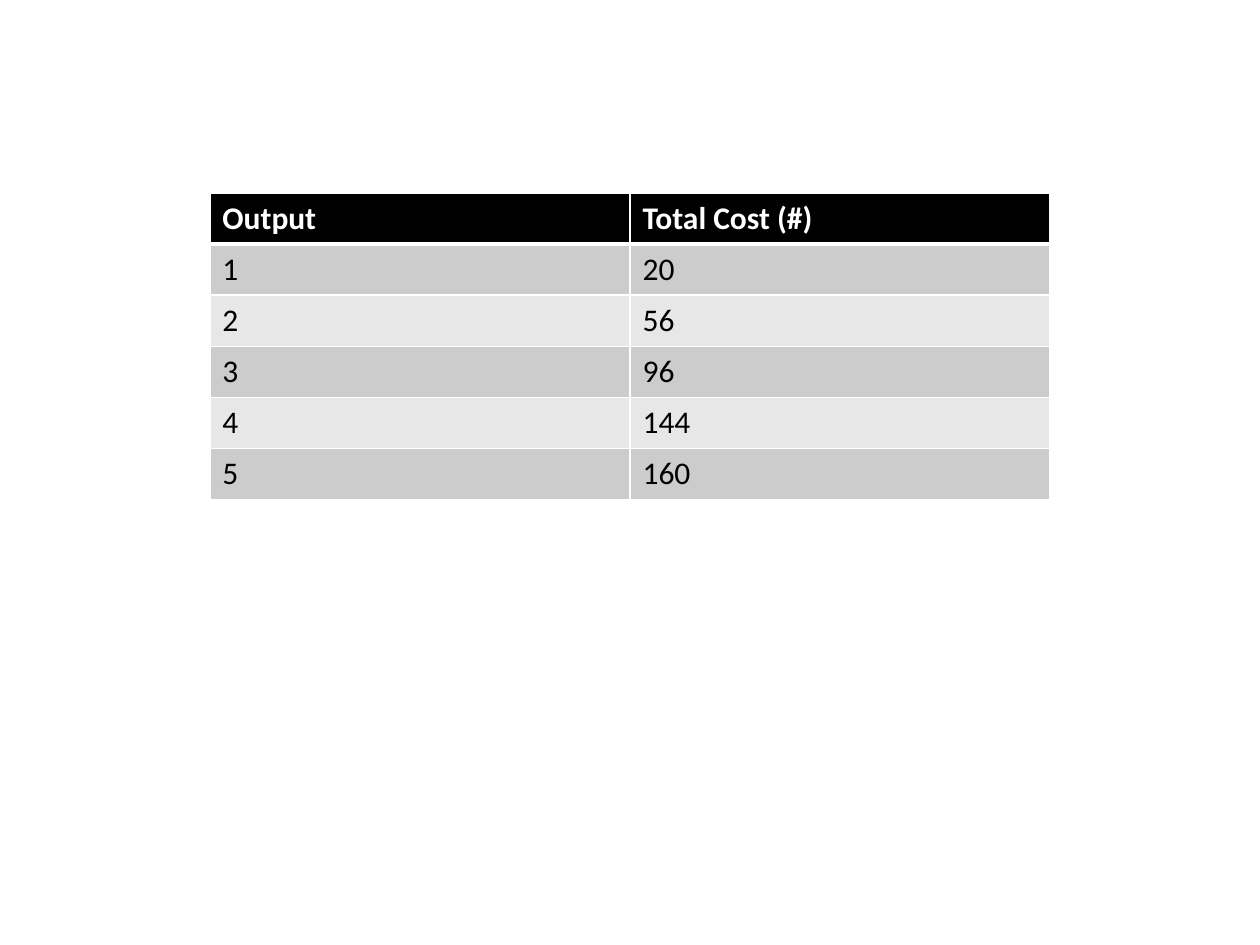
from lxml.etree import SubElement
from pptx import Presentation
from pptx.dml.color import RGBColor
from pptx.oxml.ns import qn
from pptx.util import Cm, Pt

HEADINGS = ("Output", "Total Cost (#)")
COSTS = [(1, 20), (2, 56), (3, 96), (4, 144), (5, 160)]
BLACK, WHITE = "000000", "FFFFFF"
BANDS = ("CCCCCC", "E7E7E7")
LEFT, TOP = 4.23, 3.89
COLUMN_WIDTH, ROW_HEIGHT = 8.47, 1.03
THIN, THICK = 1, 3


def rgb(value):
    return RGBColor.from_string(value)


def write(cell, text, *, size=18, color=BLACK, bold=False, font="Calibri"):
    run = cell.text_frame.paragraphs[0].add_run()
    run.text = text
    run.font.name = font
    run.font.size = Pt(size)
    run.font.bold = bold
    run.font.color.rgb = rgb(color)


def add_borders(cell, **widths):
    properties = cell._tc.get_or_add_tcPr()
    for side in "LRTB":
        width = Pt(widths.get(side, THIN))
        border = SubElement(properties, qn(f"a:ln{side}"), w=str(width))
        fill = SubElement(border, qn("a:solidFill"))
        SubElement(fill, qn("a:srgbClr"), val=WHITE)


def fill_cell(cell, color):
    cell.fill.solid()
    cell.fill.fore_color.rgb = rgb(color)


def main():
    deck = Presentation()
    deck.slide_width, deck.slide_height = Cm(25.4), Cm(19.05)
    slide = deck.slides.add_slide(deck.slide_layouts[6])

    rows = [HEADINGS, *COSTS]
    cost_table = slide.shapes.add_table(
        len(rows), len(HEADINGS), Cm(LEFT), Cm(TOP),
        Cm(COLUMN_WIDTH * len(HEADINGS)), Cm(ROW_HEIGHT * len(rows)),
    ).table

    for r, values in enumerate(rows):
        heading = r == 0
        for c, value in enumerate(values):
            cell = cost_table.cell(r, c)
            write(cell, str(value), color=WHITE if heading else BLACK, bold=heading)
            add_borders(cell, T=THICK if r == 1 else THIN, B=THICK if heading else THIN)
            fill_cell(cell, BLACK if heading else BANDS[(r - 1) % 2])

    deck.save("out.pptx")


if __name__ == "__main__":
    main()
